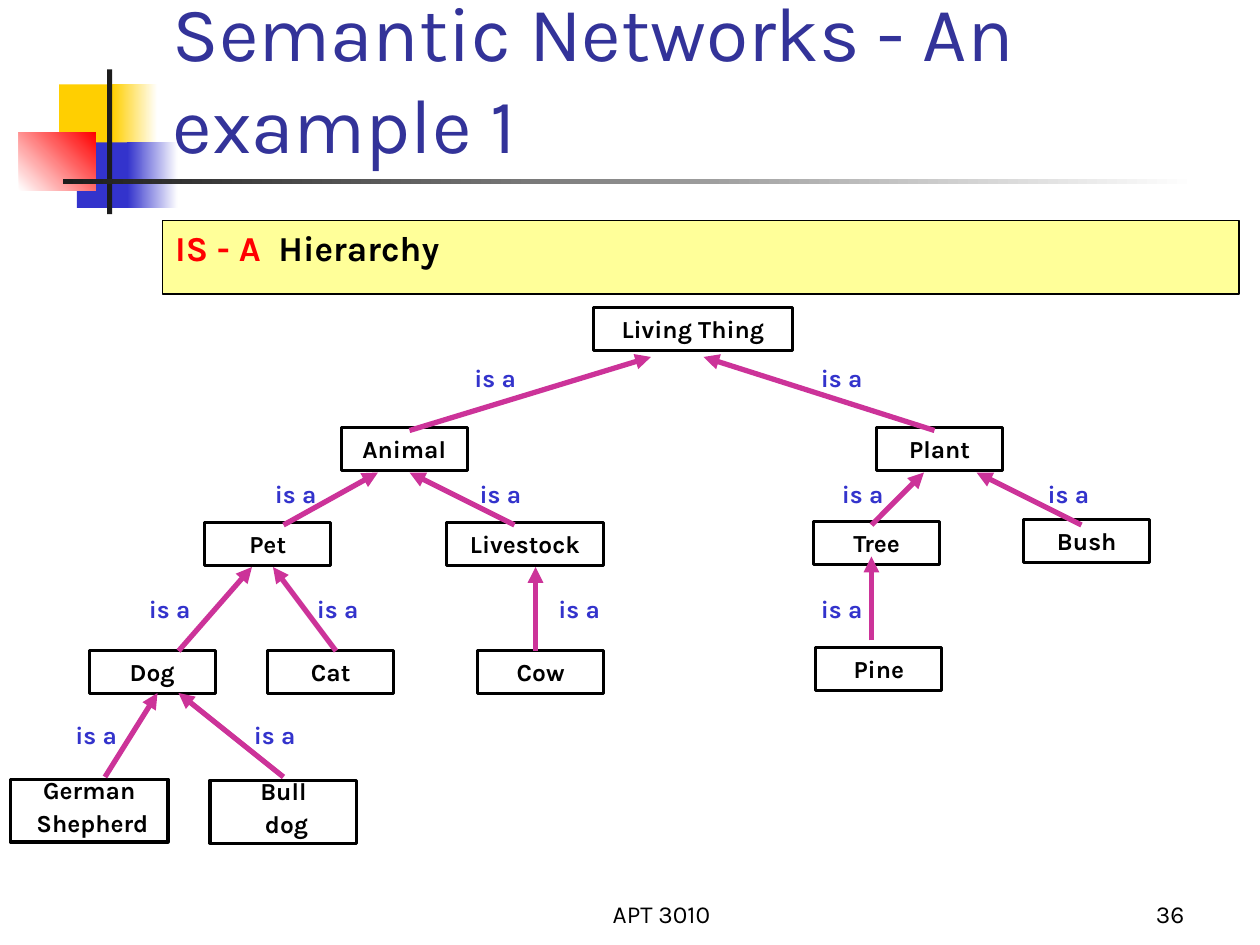
from lxml.etree import SubElement
from pptx import Presentation
from pptx.dml.color import RGBColor
from pptx.enum.shapes import MSO_CONNECTOR, MSO_SHAPE
from pptx.enum.text import MSO_ANCHOR, MSO_AUTO_SIZE, PP_ALIGN
from pptx.oxml.ns import qn
from pptx.util import Inches, Pt

BLACK = RGBColor(0x00, 0x00, 0x00)
WHITE = RGBColor(0xFF, 0xFF, 0xFF)
CHARCOAL = RGBColor(0x1C, 0x1C, 0x1C)
GOLD = RGBColor(0xFF, 0xCF, 0x01)
BLUE = RGBColor(0x33, 0x33, 0xCC)
NAVY = RGBColor(0x33, 0x33, 0x99)
RED = RGBColor(0xFF, 0x00, 0x00)
CREAM = RGBColor(0xFF, 0xFF, 0x99)
MAGENTA = RGBColor(0xCC, 0x33, 0x99)

COLUMNS, ROWS = 120, 90
NODE_HEIGHT = 4.1


class NetworkSlide:
    """Style and current slide; lengths are columns and rows of a 120 x 90 grid."""

    font_name = "Karla"

    def __init__(self, deck):
        self.slide = deck.slides.add_slide(deck.slide_layouts[6])
        self.column = deck.slide_width / COLUMNS
        self.row = deck.slide_height / ROWS

    def place(self, left, top, width, height):
        return (round(left * self.column), round(top * self.row),
                round(width * self.column), round(height * self.row))

    def block(self, area, fill=None, fade_to=None, angle=0, line=None, weight=0):
        shape = self.slide.shapes.add_shape(MSO_SHAPE.RECTANGLE, *self.place(*area))
        shape.shadow.inherit = False
        if fade_to is not None:
            shape.fill.gradient()
            shape.fill.gradient_angle = angle
            for stop, color in zip(shape.fill.gradient_stops, (fill, fade_to)):
                stop.color.rgb = color
        elif fill is not None:
            shape.fill.solid()
            shape.fill.fore_color.rgb = fill
        else:
            shape.fill.background()
        if line is None:
            shape.line.fill.background()
        else:
            shape.line.color.rgb = line
            shape.line.width = Pt(weight)
        return shape

    def text(self, area, lines, **style):
        box = self.slide.shapes.add_textbox(*self.place(*area))
        self.set_text(box, lines, **style)

    def set_text(self, shape, lines, size=14, bold=False, align=PP_ALIGN.LEFT,
                 anchor=MSO_ANCHOR.TOP, fit=MSO_AUTO_SIZE.NONE, before=0, spacing=None):
        """Each line is a list of (wording, color) runs."""
        frame = shape.text_frame
        frame_format = {"word_wrap": True, "vertical_anchor": anchor, "auto_size": fit}
        line_format = {"alignment": align, "space_before": Pt(before),
                       "line_spacing": spacing}
        font_format = {"name": self.font_name, "size": Pt(size), "bold": bold}
        self.apply(frame, frame_format)
        for index, runs in enumerate(lines):
            line = frame.add_paragraph() if index else frame.paragraphs[0]
            self.apply(line, line_format)
            for wording, color in runs:
                run = line.add_run()
                run.text = wording
                self.apply(run.font, font_format)
                run.font.color.rgb = color

    @staticmethod
    def apply(target, values):
        for name, value in values.items():
            setattr(target, name, value)

    @staticmethod
    def tab_stop(line, position):
        stops = SubElement(line._p.get_or_add_pPr(), qn("a:tabLst"))
        SubElement(stops, qn("a:tab"), pos=str(position), algn="l")

    def arrow(self, start, end):
        link = self.slide.shapes.add_connector(
            MSO_CONNECTOR.STRAIGHT, *self.place(*start, *end))
        link.line.color.rgb = MAGENTA
        link.line.width = Pt(3)
        outline = link._element.spPr.find(qn("a:ln"))
        SubElement(outline, qn("a:tailEnd"), type="triangle")
        SubElement(link._element.spPr, qn("a:effectLst"))

    def node(self, lines, left, top, width):
        tall = len(lines) > 1
        shape = self.block((left, top, width, 6 if tall else NODE_HEIGHT),
                           line=BLACK, weight=1.76)
        self.set_text(shape, [[(wording, BLACK)] for wording in lines], bold=True,
                      align=PP_ALIGN.CENTER, fit=MSO_AUTO_SIZE.SHAPE_TO_FIT_TEXT,
                      before=8.8, spacing=0.6 if tall else None)


deck = Presentation()
deck.slide_width, deck.slide_height = Inches(10), Inches(7.5)
page = NetworkSlide(deck)

# Corner ornament and rule under the title
page.block((5.64, 8.04, 5.76, 6.24), GOLD)
page.block((10.7, 8.04, 4.3, 6.24), GOLD, fade_to=WHITE)
page.block((7.32, 13.56, 5.52, 6.24), BLUE)
page.block((12.12, 13.56, 4.8, 6.24), BLUE, fade_to=WHITE)
page.block((1.8, 12.6, 7.32, 5.52), WHITE, fade_to=RED, angle=45)
page.block((10.2, 6.6, 0.48, 13.8), CHARCOAL)
page.block((6, 17.04, 108, 0.48), CHARCOAL, fade_to=WHITE)

# Footer
page.text((44, 83, 38, 6), [[("APT 3010", BLACK)]],
          align=PP_ALIGN.CENTER, anchor=MSO_ANCHOR.BOTTOM)
page.text((89, 83, 25, 6), [[("36", BLACK)]],
          align=PP_ALIGN.RIGHT, anchor=MSO_ANCHOR.BOTTOM)

# Title and banner
page.text((15.25, 1.7, 102.25, 15), [[("Semantic Networks - An example 1", NAVY)]],
          size=44, anchor=MSO_ANCHOR.BOTTOM)
banner = page.block((15.5, 21, 102.5, 7), CREAM, line=BLACK, weight=0.74)
page.set_text(banner, [[("IS - A", RED), ("\tHierarchy", BLACK)]],
              size=20, bold=True, before=5)
page.tab_stop(banner.text_frame.paragraphs[0], Inches(0.82))

# Hierarchy: wording, left, top, width of each node
nodes = [
    (["Living Thing"], 56.5, 29.3, 19),
    (["Animal"], 32.5, 40.7, 12),
    (["Plant"], 83.5, 40.7, 12),
    (["Tree"], 77.5, 49.7, 12),
    (["Bush"], 97.5, 49.5, 12),
    (["Pine"], 77.7, 61.7, 12),
    (["Livestock"], 42.5, 49.8, 15),
    (["Pet"], 19.5, 49.8, 12),
    (["Cow"], 45.5, 62, 12),
    (["Cat"], 25.5, 62, 12),
    (["Dog"], 8.5, 62, 12),
    (["German", " Shepherd"], 1, 74.2, 15),
    (["Bull", " dog"], 20, 74.3, 14),
]
for node in nodes:
    page.node(*node)

# Relations by level: child row, parent row, label row,
# then child column, parent column, label column of each arrow
levels = [
    (41, 34, 34, [(39, 62, 44), (89, 67, 77)]),
    (50, 45, 45, [(27, 36, 25), (49, 39, 44.5), (83, 88, 79), (103, 93, 98.6)]),
    (62, 54, 56, [(17, 24, 13), (32, 26, 29), (51, 51, 52)]),
    (61, 53, 56, [(83, 83, 77)]),
    (74, 66, 68, [(10, 15, 6), (27, 17, 23)]),
]
for child_row, parent_row, label_row, relations in levels:
    for child, parent, label in relations:
        page.arrow((child, child_row), (parent, parent_row))
        page.text((label, label_row, 7, NODE_HEIGHT), [[("is a", BLUE)]], bold=True,
                  fit=MSO_AUTO_SIZE.SHAPE_TO_FIT_TEXT, before=8.8)

deck.save("out.pptx")
